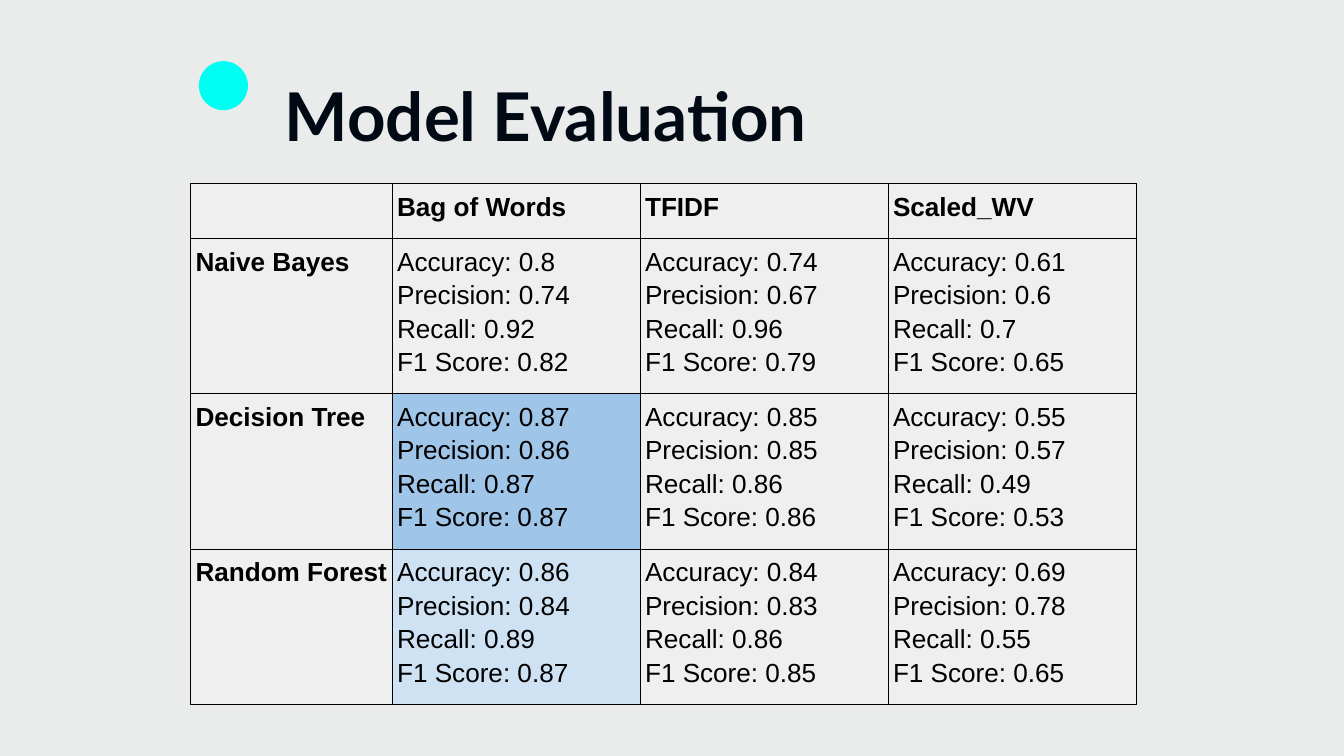
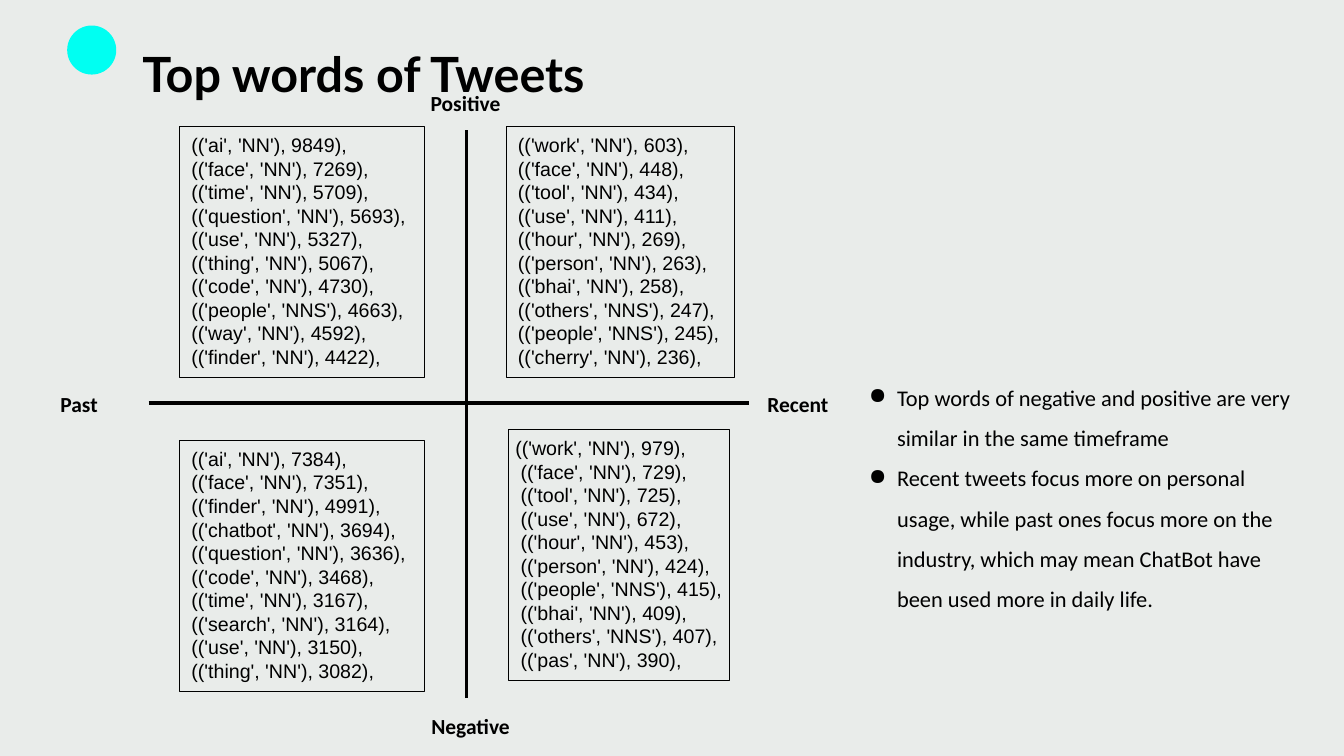
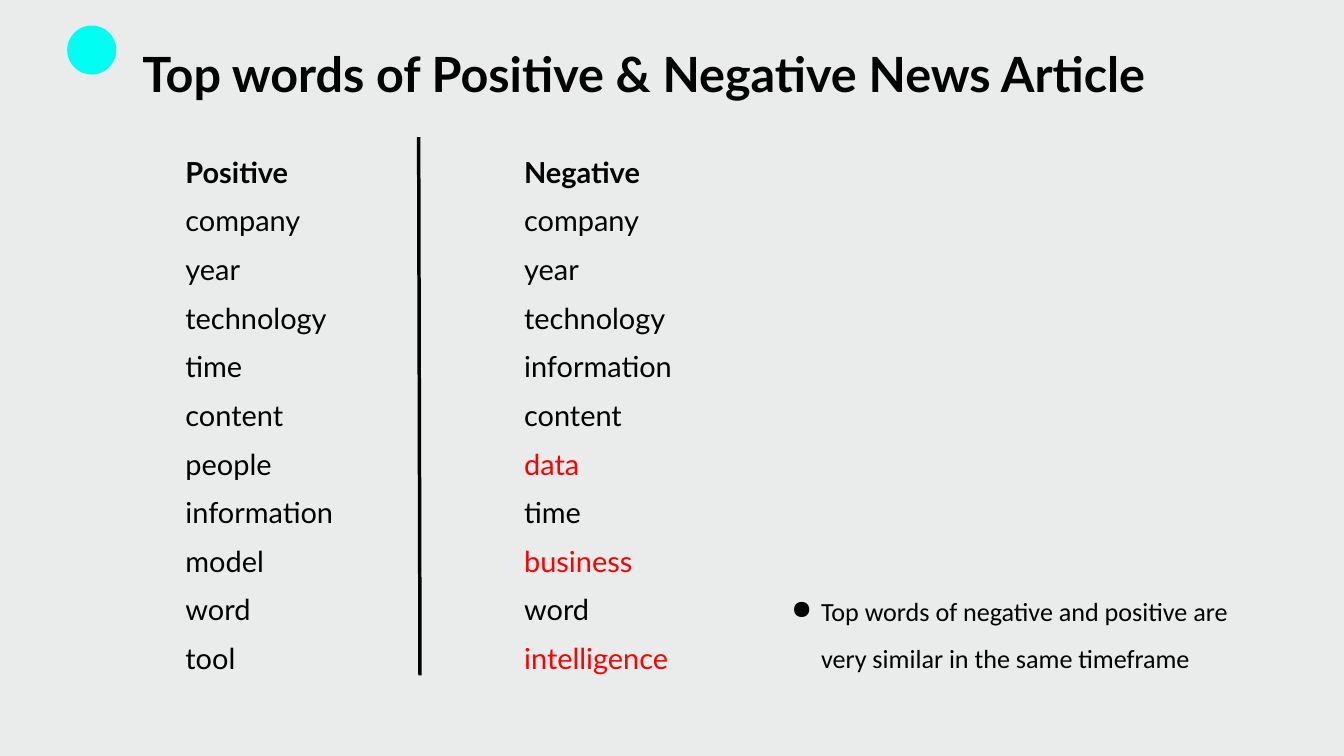
from lxml import etree
from pptx import Presentation
from pptx.dml.color import RGBColor
from pptx.enum.shapes import MSO_CONNECTOR, MSO_SHAPE
from pptx.enum.text import MSO_ANCHOR, MSO_AUTO_SIZE, PP_ALIGN
from pptx.oxml.ns import qn
from pptx.util import Inches, Pt

STRAIGHT = MSO_CONNECTOR.STRAIGHT
RECTANGLE = MSO_SHAPE.RECTANGLE
OVAL = MSO_SHAPE.OVAL
TOP = MSO_ANCHOR.TOP
NO_FIT = MSO_AUTO_SIZE.NONE
LEFT = PP_ALIGN.LEFT

COLORS = {
    "background": "E9ECEA",
    "accent": "00FFF2",
    "heading": "000914",
    "ink": "000000",
    "unique": "FF0000",
    "cell": "EFEFEF",
    "best": "9FC5E8",
    "second": "CFE2F3",
}
TITLE_ONLY = 5
DOT_SIZE = 0.73
WORD_INDENT = 0.08

METRICS = ("Accuracy", "Precision", "Recall", "F1 Score")
FEATURES = ("Bag of Words", "TFIDF", "Scaled_WV")
SCORES = {
    "Naive Bayes": ((0.8, 0.74, 0.92, 0.82), (0.74, 0.67, 0.96, 0.79), (0.61, 0.6, 0.7, 0.65)),
    "Decision Tree": ((0.87, 0.86, 0.87, 0.87), (0.85, 0.85, 0.86, 0.86), (0.55, 0.57, 0.49, 0.53)),
    "Random Forest": ((0.86, 0.84, 0.89, 0.87), (0.84, 0.83, 0.86, 0.85), (0.69, 0.78, 0.55, 0.65)),
}
HIGHLIGHTS = {(2, 1): "best", (3, 1): "second"}

AXIS_LABELS = (
    ("Positive", (6.31, 1.24, 1.26, 0.59)),
    ("Negative", (6.32, 10.51, 1.45, 0.59)),
    ("Past", (0.8, 5.72, 0.93, 0.59)),
    ("Recent", (11.32, 5.72, 2.04, 0.59)),
)
PAST_POSITIVE = (
    ("ai", "NN", 9849), ("face", "NN", 7269), ("time", "NN", 5709),
    ("question", "NN", 5693), ("use", "NN", 5327), ("thing", "NN", 5067),
    ("code", "NN", 4730), ("people", "NNS", 4663), ("way", "NN", 4592),
    ("finder", "NN", 4422),
)
RECENT_POSITIVE = (
    ("work", "NN", 603), ("face", "NN", 448), ("tool", "NN", 434),
    ("use", "NN", 411), ("hour", "NN", 269), ("person", "NN", 263),
    ("bhai", "NN", 258), ("others", "NNS", 247), ("people", "NNS", 245),
    ("cherry", "NN", 236),
)
PAST_NEGATIVE = (
    ("ai", "NN", 7384), ("face", "NN", 7351), ("finder", "NN", 4991),
    ("chatbot", "NN", 3694), ("question", "NN", 3636), ("code", "NN", 3468),
    ("time", "NN", 3167), ("search", "NN", 3164), ("use", "NN", 3150),
    ("thing", "NN", 3082),
)
RECENT_NEGATIVE = (
    ("work", "NN", 979), ("face", "NN", 729), ("tool", "NN", 725),
    ("use", "NN", 672), ("hour", "NN", 453), ("person", "NN", 424),
    ("people", "NNS", 415), ("bhai", "NN", 409), ("others", "NNS", 407),
    ("pas", "NN", 390),
)
SIMILARITY = "Top words of negative and positive are very similar in the same timeframe"
USAGE = (
    "Recent tweets focus more on personal usage, while past ones focus more on "
    "the industry, which may mean ChatBot have been used more in daily life."
)
POSITIVE_NEWS = ("company", "year", "technology", "time", "content", "people",
                 "information", "model", "word", "tool")
NEGATIVE_NEWS = ("company", "year", "technology", "information", "content", "data",
                 "time", "business", "word", "intelligence")


def rgb(color):
    """Return the named palette colour."""
    return RGBColor.from_string(COLORS[color])


def inches(values):
    """Convert numbers to lengths."""
    return [Inches(value) for value in values]


def set_font(paragraph, face, size, color="ink", bold=False):
    """Format a whole paragraph."""
    font = paragraph.font
    font.name, font.size, font.bold = face, Pt(size), bold
    font.color.rgb = rgb(color)


def set_indent(paragraph, left, first=0):
    """Set the left margin and first-line indent of a paragraph."""
    properties = paragraph._p.get_or_add_pPr()
    properties.set("marL", str(Inches(left)))
    properties.set("indent", str(Inches(first)))


def set_insets(target, inset):
    """Give a text frame or cell the same inset on every side."""
    target.margin_left = target.margin_right = Inches(inset)
    target.margin_top = target.margin_bottom = Inches(inset)


def write_lines(frame, lines, spacing):
    """Write one paragraph per line and return the paragraphs."""
    frame.text = "\n".join(lines)
    for paragraph in frame.paragraphs:
        paragraph.alignment = LEFT
        paragraph.line_spacing = spacing
    return frame.paragraphs


def prepare_frame(frame, inset):
    """Make a text frame wrap from its top left corner."""
    frame.word_wrap = True
    frame.auto_size = NO_FIT
    frame.vertical_anchor = TOP
    set_insets(frame, inset)


def add_text(slide, box, lines, inset=0.1, spacing=1.0):
    """Add a text box and return its paragraphs."""
    frame = slide.shapes.add_textbox(*inches(box)).text_frame
    prepare_frame(frame, inset)
    return write_lines(frame, lines, spacing)


def add_titled_slide(deck, title, box=(2.12, 0.31, 16.94, 0.88), dot=(1, 0.38),
                     size=52, color="ink"):
    """Add a slide with background, accent dot and title."""
    slide = deck.slides.add_slide(deck.slide_layouts[TITLE_ONLY])
    slide.background.fill.solid()
    slide.background.fill.fore_color.rgb = rgb("background")
    accent = slide.shapes.add_shape(OVAL, *inches((*dot, DOT_SIZE, DOT_SIZE)))
    accent.shadow.inherit = False
    accent.fill.solid()
    accent.fill.fore_color.rgb = rgb("accent")
    accent.line.fill.background()
    heading = slide.shapes.title
    heading.left, heading.top, heading.width, heading.height = inches(box)
    prepare_frame(heading.text_frame, 0)
    set_font(write_lines(heading.text_frame, [title], 1.4)[0], "Lato", size, color, True)
    return slide


def add_rule(slide, start, end):
    """Draw a thick straight line."""
    rule = slide.shapes.add_connector(STRAIGHT, *inches((*start, *end)))
    rule.line.color.rgb = rgb("ink")
    rule.line.width = Pt(3.75)
    etree.SubElement(rule._element.spPr, qn("a:effectLst"))


def add_bullets(slide, box, points, size, hanging):
    """Add a bulleted text box."""
    for paragraph in add_text(slide, box, points, spacing=1.5):
        set_indent(paragraph, 0.5, -hanging)
        properties = paragraph._p.get_or_add_pPr()
        bullet_color = etree.SubElement(properties, qn("a:buClr"))
        etree.SubElement(bullet_color, qn("a:srgbClr"), val=COLORS["ink"])
        etree.SubElement(properties, qn("a:buChar"), char="●")
        set_font(paragraph, "Calibri", size)


def add_word_counts(slide, box, counts):
    """Add an outlined box of tagged words and return its paragraphs."""
    panel = slide.shapes.add_shape(RECTANGLE, *inches(box))
    panel.shadow.inherit = False
    panel.fill.background()
    panel.line.color.rgb = rgb("ink")
    panel.line.width = Pt(0.75)
    prepare_frame(panel.text_frame, 0.1)
    lines = [f"(('{word}', '{tag}'), {count})," for word, tag, count in counts]
    paragraphs = write_lines(panel.text_frame, lines, 1.0)
    for paragraph in paragraphs:
        set_indent(paragraph, WORD_INDENT)
        set_font(paragraph, "Arial", 21)
    return paragraphs


def add_news_words(slide, box, heading, words, unique=()):
    """Add a headed word column, with unique words in colour."""
    paragraphs = add_text(slide, box, [heading, *words], 0, 1.4)
    set_font(paragraphs[0], "Lato", 31, bold=True)
    for paragraph, word in zip(paragraphs[1:], words):
        set_font(paragraph, "Lato", 31, "unique" if word in unique else "ink")


def format_cell(cell, lines, fill, bold):
    """Write a table cell with borders and fill."""
    set_insets(cell, 0.07)
    properties = cell._tc.get_or_add_tcPr()
    for side in ("lnL", "lnR", "lnT", "lnB"):
        border = etree.SubElement(properties, qn(f"a:{side}"), w=str(Pt(1)))
        ink = etree.SubElement(border, qn("a:solidFill"))
        etree.SubElement(ink, qn("a:srgbClr"), val=COLORS["ink"])
    cell.fill.solid()
    cell.fill.fore_color.rgb = rgb(fill)
    for paragraph in write_lines(cell.text_frame, lines, 1.15):
        set_font(paragraph, "Arial", 28, bold=bold)


def add_score_table(slide):
    """Add the table of model scores per feature set."""
    rows = [[[""], *([feature] for feature in FEATURES)]]
    for model, results in SCORES.items():
        rows.append([[model], *([f"{metric}: {score}" for metric, score in zip(METRICS, scores)]
                                for scores in results)])
    box = inches((2.84, 2.73, 14.07, 7.75))
    table = slide.shapes.add_table(len(rows), len(rows[0]), *box).table
    table.first_row = table.horz_banding = False
    for column, width in zip(table.columns, inches((3, 3.69, 3.69, 3.69))):
        column.width = width
    for row, height in zip(table.rows, inches((0.82, 2.31, 2.31, 2.31))):
        row.height = height
    for r, row in enumerate(rows):
        for c, lines in enumerate(row):
            fill = HIGHLIGHTS.get((r, c), "cell")
            format_cell(table.cell(r, c), lines, fill, r == 0 or c == 0)


def build_evaluation(deck):
    """Build the model evaluation slide."""
    slide = add_titled_slide(deck, "Model Evaluation", (4.24, 0.62, 9.31, 1.21),
                             (2.96, 0.91), 72, "heading")
    add_score_table(slide)


def build_tweets(deck):
    """Build the quadrant of tweet words."""
    slide = add_titled_slide(deck, "Top words of Tweets")
    add_rule(slide, (6.94, 10.39), (6.94, 1.93))
    add_rule(slide, (2.21, 6), (11.15, 6))
    for label, box in AXIS_LABELS:
        set_font(add_text(slide, box, [label])[0], "Calibri", 23, bold=True)
    add_word_counts(slide, (7.53, 1.88, 3.4, 3.74), RECENT_POSITIVE)
    recent_negative = add_word_counts(slide, (7.57, 6.39, 3.28, 3.74), RECENT_NEGATIVE)
    set_indent(recent_negative[0], 0)
    add_word_counts(slide, (2.67, 1.88, 3.65, 3.74), PAST_POSITIVE)
    add_word_counts(slide, (2.67, 6.55, 3.65, 3.74), PAST_NEGATIVE)
    add_bullets(slide, (12.75, 5.41, 6.75, 4.24), [SIMILARITY, USAGE], 24, 0.42)


def build_news(deck):
    """Build the comparison of news article words."""
    slide = add_titled_slide(deck, "Top words of Positive & Negative News Article")
    add_news_words(slide, (7.8, 2.09, 2.71, 7.83), "Negative", NEGATIVE_NEWS,
                   set(NEGATIVE_NEWS) - set(POSITIVE_NEWS))
    add_news_words(slide, (2.76, 2.09, 3.33, 8.56), "Positive", POSITIVE_NEWS)
    add_rule(slide, (6.25, 10.05), (6.23, 2.04))
    add_bullets(slide, (11.62, 8.53, 7.43, 1.38), [SIMILARITY], 28, 0.44)


def main():
    """Build and save the deck."""
    deck = Presentation()
    deck.slide_width, deck.slide_height = inches((20, 11.25))
    build_evaluation(deck)
    build_tweets(deck)
    build_news(deck)
    deck.save("out.pptx")


if __name__ == "__main__":
    main()
